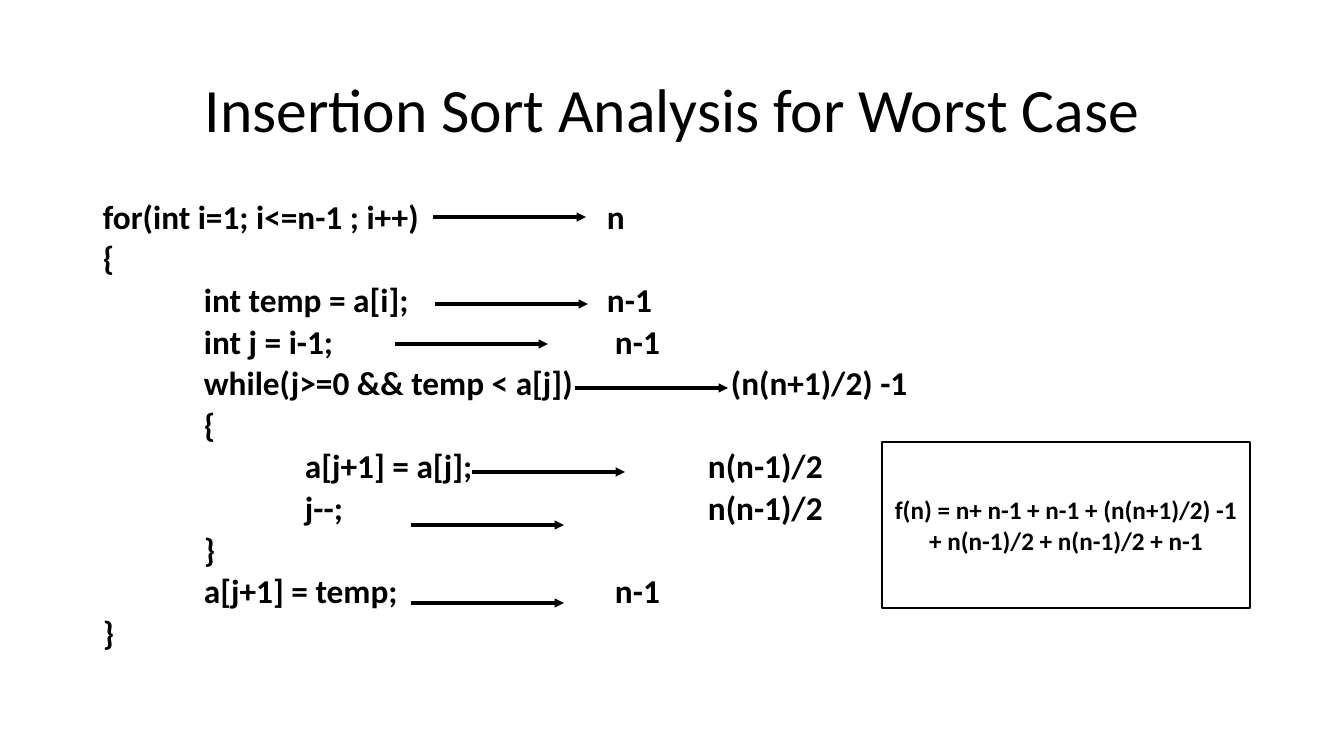
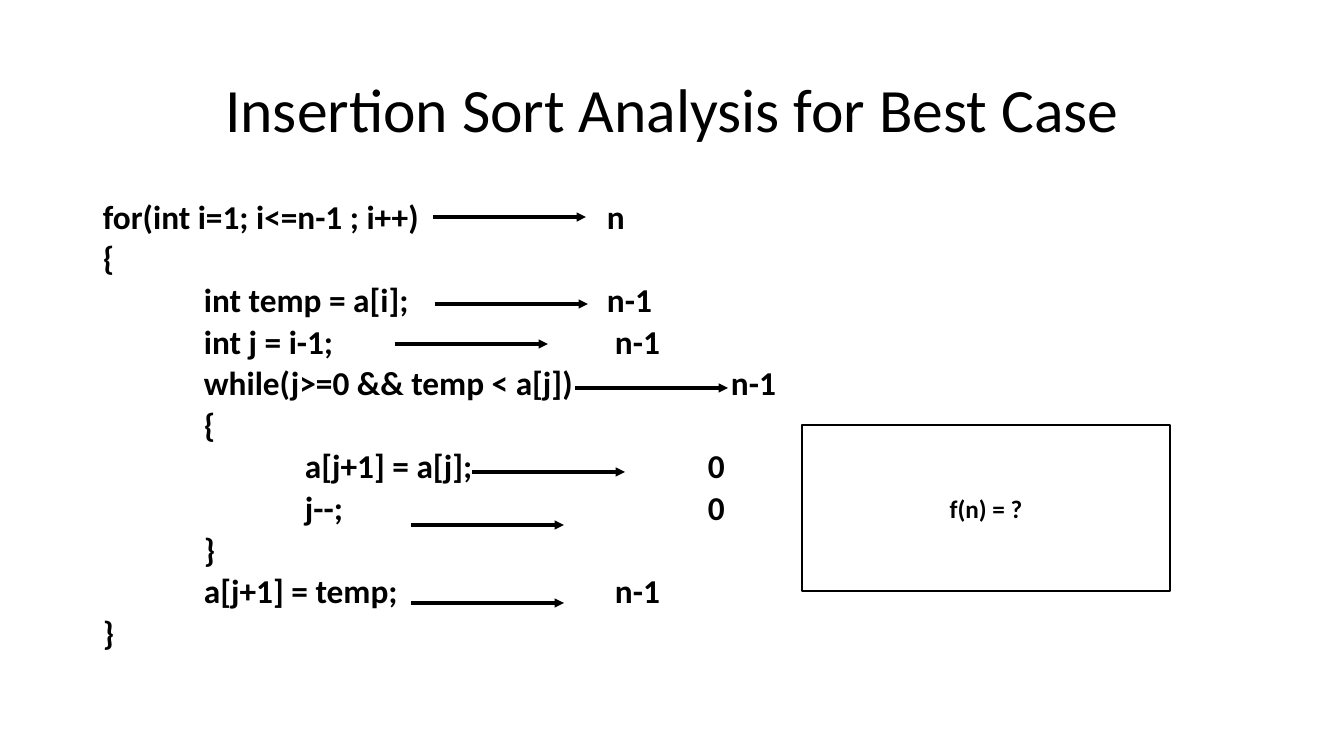
from lxml.etree import SubElement
from pptx import Presentation
from pptx.dml.color import RGBColor
from pptx.enum.shapes import MSO_CONNECTOR, MSO_SHAPE
from pptx.enum.text import MSO_ANCHOR, PP_ALIGN
from pptx.oxml.ns import qn
from pptx.util import Pt

SCALE = 914400 / 100.8
FONT, INK, PAPER = "Calibri", "000000", "FFFFFF"
TITLE = (93, 40, 1159, 146)
BODY = (93, 202, 1159, 480)
INDENT, ARROW = 101, 153

# Level, code, tab stop of the count, arrow start within the body box
CODE = [
    (0, "for(int i=1; i<=n-1 ; i++)", 504, (340, 15)),
    (0, "{", None, None),
    (1, "int temp = a[i];", 504, (342, 102)),
    (1, "int j = i-1;", 512, (302, 142)),
    (1, "while(j>=0 && temp < a[j])", 628, (482, 186)),
    (1, "{", None, None),
    (2, "a[j+1] = a[j];", 605, (379, 270)),
    (2, "j--;", 605, (318, 323)),
    (1, "}", None, None),
    (1, "a[j+1] = temp;", 512, (318, 401)),
    (0, "}", None, None),
]

# Title, count of each timed line, sum, box of the sum
CASES = [
    ("Insertion Sort Analysis for Worst Case",
     ["n", "n-1", "n-1", "(n(n+1)/2) -1", "n(n-1)/2", "n(n-1)/2", "n-1"],
     "f(n) = n+ n-1 + n-1 + (n(n+1)/2) -1 + n(n-1)/2 + n(n-1)/2 + n-1",
     (882, 442, 368, 166)),
    ("Insertion Sort Analysis for Best Case",
     ["n", "n-1", "n-1", "n-1", "0", "0", "n-1"],
     "f(n) = ?",
     (802, 425, 368, 166)),
]


def px(n):
    return round(n * SCALE)


def color(code):
    return RGBColor.from_string(code)


def style(para, size, bold=False, align=PP_ALIGN.LEFT):
    para.alignment = align
    font = para.font
    font.name, font.size, font.bold = FONT, Pt(size), bold
    font.color.rgb = color(INK)


def frame(slide, box, anchor):
    text = slide.shapes.add_textbox(*map(px, box)).text_frame
    text.word_wrap = True
    text.vertical_anchor = anchor
    text.margin_left = text.margin_right = px(10)
    text.margin_top = text.margin_bottom = px(5)
    return text


def set_tabs(para, stops):
    tabs = SubElement(para._p.get_or_add_pPr(), qn("a:tabLst"))
    for stop in stops:
        SubElement(tabs, qn("a:tab"), pos=str(px(stop)), algn="l")


def add_title(slide, box, words):
    para = frame(slide, box, MSO_ANCHOR.MIDDLE).paragraphs[0]
    para.text = words
    para.line_spacing = 0.9
    style(para, 44, align=PP_ALIGN.CENTER)


def add_arrow(slide, x, y):
    line = slide.shapes.add_connector(
        MSO_CONNECTOR.STRAIGHT, px(x), px(y), px(x + ARROW), px(y))
    line.line.color.rgb = color(INK)
    line.line.width = Pt(2.25)
    SubElement(line.line._get_or_add_ln(), qn("a:tailEnd"), type="triangle")
    SubElement(line._element.spPr, qn("a:effectLst"))


def add_code(slide, box, counts):
    text = frame(slide, box, MSO_ANCHOR.TOP)
    left = iter(counts)
    for row, (level, code, stop, start) in enumerate(CODE):
        para = text.add_paragraph() if row else text.paragraphs[0]
        words = "\t" * level + code
        stops = [INDENT * (n + 1) for n in range(level)]
        if stop:
            words += "\t" + next(left)
            stops.append(stop)
            add_arrow(slide, box[0] + start[0], box[1] + start[1])
        para.text = words
        if stops:
            set_tabs(para, stops)
        para.line_spacing = 0.7
        para.space_before = Pt(9.7 if row else 0)
        style(para, 23.8, bold=True)


def add_sum(slide, box, words):
    shape = slide.shapes.add_shape(MSO_SHAPE.RECTANGLE, *map(px, box))
    shape.shadow.inherit = False
    shape.fill.solid()
    shape.fill.fore_color.rgb = color(PAPER)
    shape.line.color.rgb = color(INK)
    shape.line.width = Pt(1)
    text = shape.text_frame
    text.word_wrap = True
    text.vertical_anchor = MSO_ANCHOR.MIDDLE
    text.text = words
    style(text.paragraphs[0], 18, bold=True, align=PP_ALIGN.CENTER)


def add_case(deck, title, counts, total, box):
    slide = deck.slides.add_slide(deck.slide_layouts[6])
    add_title(slide, TITLE, title)
    add_code(slide, BODY, counts)
    add_sum(slide, box, total)


def main():
    deck = Presentation()
    deck.slide_width, deck.slide_height = px(1344), px(756)
    for case in CASES:
        add_case(deck, *case)
    deck.save("out.pptx")


if __name__ == "__main__":
    main()
